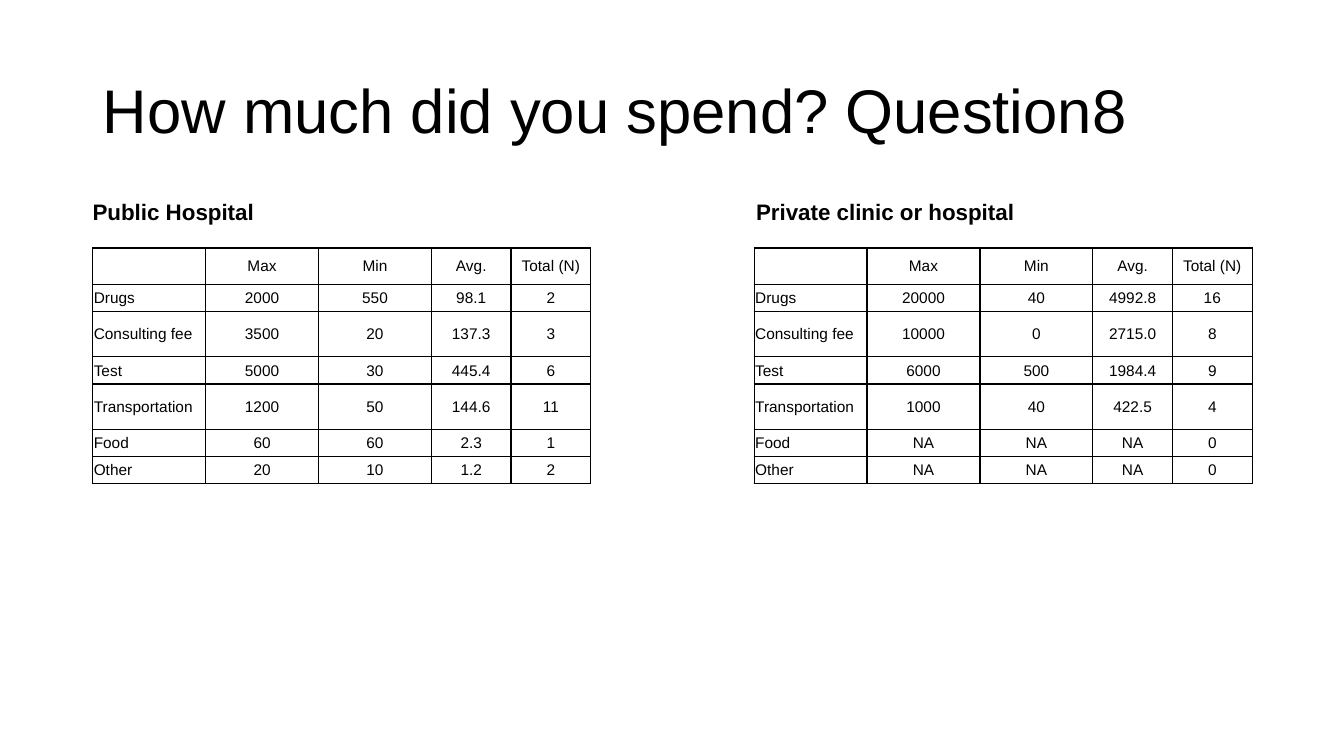
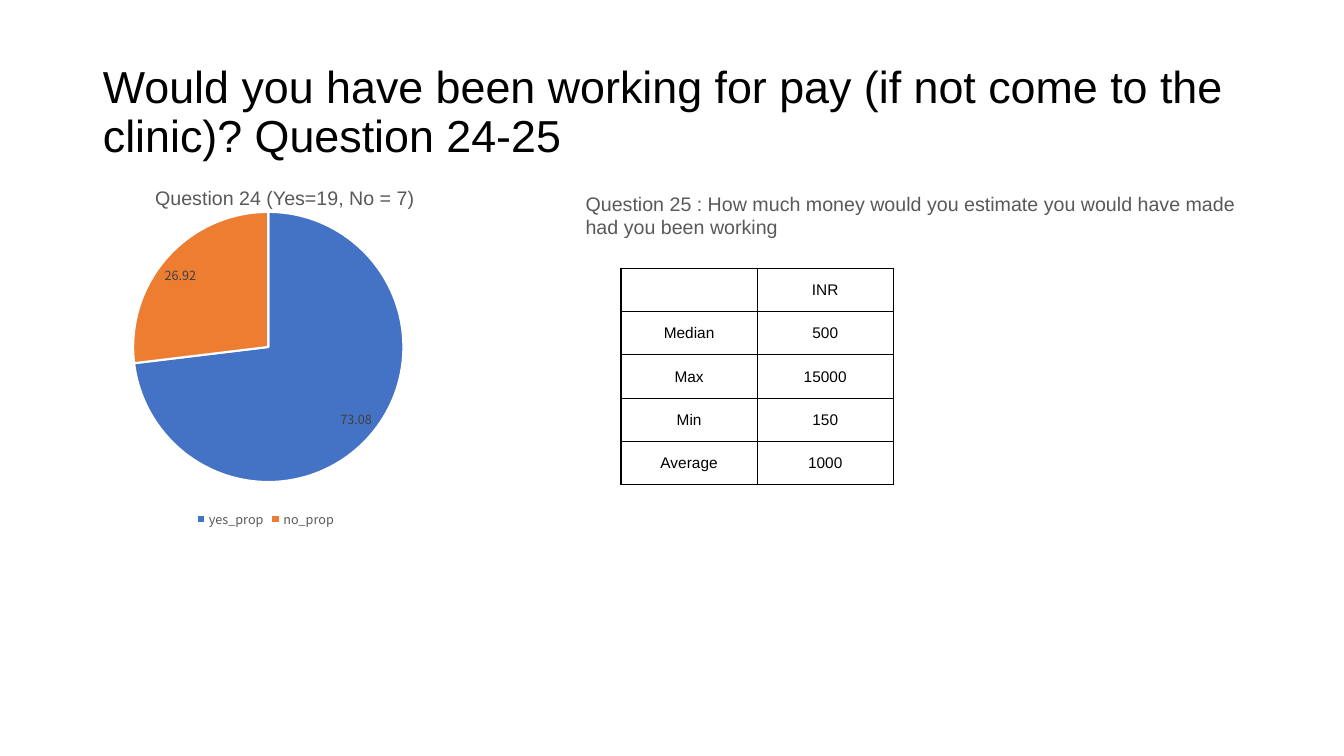
from pptx import Presentation
from pptx.chart.data import CategoryChartData
from pptx.dml.color import RGBColor
from pptx.enum.chart import XL_CHART_TYPE, XL_LABEL_POSITION, XL_LEGEND_POSITION
from pptx.enum.text import MSO_ANCHOR, MSO_AUTO_SIZE, PP_ALIGN
from pptx.oxml import parse_xml
from pptx.oxml.ns import nsdecls
from pptx.util import Inches, Pt

COLORS = {"black": "000000", "white": "FFFFFF", "gray": "595959", "label": "404040",
          "yes": "4472C4", "no": "ED7D31"}
TEXT_FONT = "Arial"
CHART_FONT = "Noto Sans CJK KR"

SPEND_TITLE = "How much did you spend? Question8"
SPEND_HEADER = ("", "Max", "Min", "Avg.", "Total (N)")
SPEND_ITEMS = ("Drugs", "Consulting fee", "Test", "Transportation", "Food", "Other")
SPEND_COLUMNS = (1.12, 1.12, 1.12, 0.79, 0.79)
SPEND_ROWS = (0.36, 0.27, 0.45, 0.27, 0.45, 0.27, 0.27)
SPEND_GROUPS = [
    {"heading": "Public Hospital", "heading_left": 0.82, "table_left": 0.92,
     "values": [("2000", "550", "98.1", "2"), ("3500", "20", "137.3", "3"),
                ("5000", "30", "445.4", "6"), ("1200", "50", "144.6", "11"),
                ("60", "60", "2.3", "1"), ("20", "10", "1.2", "2")]},
    {"heading": "Private clinic or hospital", "heading_left": 7.4, "table_left": 7.48,
     "values": [("20000", "40", "4992.8", "16"), ("10000", "0", "2715.0", "8"),
                ("6000", "500", "1984.4", "9"), ("1000", "40", "422.5", "4"),
                ("NA", "NA", "NA", "0"), ("NA", "NA", "NA", "0")]},
]

WORK_TITLE = "Would you have been working for pay (if not come to the clinic)? Question 24-25"
WORK_CAPTION = "Question 24 (Yes=19, No = 7)"
WORK_SHARES = [("yes_prop", 73.08, "yes"), ("no_prop", 26.92, "no")]
PIE_LAYOUT = {"x": 0.25, "y": 0.04, "w": 0.51, "h": 0.81}
INCOME_CAPTION = ("Question 25 : How much money would you estimate you would have made "
                  "had you been working")
INCOME_ROWS = [("", "INR"), ("Median", "500"), ("Max", "15000"), ("Min", "150"),
               ("Average", "1000")]


def rgb(name):
    return RGBColor.from_string(COLORS[name])


def style_font(font, size, color="black", name=TEXT_FONT, bold=False):
    font.name, font.size, font.bold = name, Pt(size), bold
    font.color.rgb = rgb(color)


def style_frame(frame, size, color="black", align=PP_ALIGN.LEFT, bold=False):
    for para in frame.paragraphs:
        para.alignment = align
        for span in para.runs:
            style_font(span.font, size, color, bold=bold)


def add_page(deck, layout, title, size):
    page = deck.slides.add_slide(layout)
    frame = page.shapes.title.text_frame
    frame.text = title
    frame.auto_size = MSO_AUTO_SIZE.NONE
    frame.vertical_anchor = MSO_ANCHOR.MIDDLE
    frame.paragraphs[0].line_spacing = 0.9
    style_frame(frame, size)
    return page


def add_text(page, text, left, top, width, height, size, **style):
    box = page.shapes.add_textbox(Inches(left), Inches(top), Inches(width), Inches(height))
    box.text_frame.word_wrap = True
    box.text_frame.text = text
    style_frame(box.text_frame, size, **style)


def draw_borders(cell):
    properties = cell._tc.get_or_add_tcPr()
    for index, side in enumerate("LRTB"):
        properties.insert(index, parse_xml(
            f'<a:ln{side} {nsdecls("a")} w="12700"><a:solidFill>'
            f'<a:srgbClr val="{COLORS["black"]}"/></a:solidFill></a:ln{side}>'))


def add_grid(page, rows, left, top, widths, heights, first_align):
    table = page.shapes.add_table(len(rows), len(widths), Inches(left), Inches(top),
                                  Inches(sum(widths)), Inches(sum(heights))).table
    for column, width in zip(table.columns, widths):
        column.width = Inches(width)
    for row, height in zip(table.rows, heights):
        row.height = Inches(height)
    for row_index, row in enumerate(rows):
        for column_index, text in enumerate(row):
            cell = table.cell(row_index, column_index)
            cell.text = text
            cell.fill.background()
            draw_borders(cell)
            cell.vertical_anchor = MSO_ANCHOR.MIDDLE
            cell.margin_left = cell.margin_right = cell.margin_top = Inches(0.01)
            cell.margin_bottom = 0
            align = PP_ALIGN.CENTER if column_index else first_align
            style_frame(cell.text_frame, 11, align=align)


def add_pie(page, shares, left, top, width, height):
    data = CategoryChartData()
    data.categories = [name for name, _, _ in shares]
    data.add_series("Series 1", [value for _, value, _ in shares])
    chart = page.shapes.add_chart(XL_CHART_TYPE.PIE, Inches(left), Inches(top),
                                  Inches(width), Inches(height), data).chart
    chart.has_title = False
    style_font(chart.font, 10, name=CHART_FONT)
    chart.has_legend = True
    chart.legend.position = XL_LEGEND_POSITION.BOTTOM
    chart.legend.include_in_layout = False
    style_font(chart.legend.font, 9, "gray", CHART_FONT)

    plot = chart.plots[0]
    plot.vary_by_categories = True
    for index, (_, _, color) in enumerate(shares):
        slice_format = plot.series[0].points[index].format
        slice_format.fill.solid()
        slice_format.fill.fore_color.rgb = rgb(color)
        slice_format.line.color.rgb = rgb("white")
        slice_format.line.width = Pt(1.5)
    labels = plot.series[0].data_labels
    labels.show_value = True
    labels.number_format, labels.number_format_is_linked = "0.00", False
    labels.position = XL_LABEL_POSITION.BEST_FIT
    style_font(labels.font, 9, "label", CHART_FONT)

    area = chart._chartSpace.chart.plotArea
    for old_layout in area.findall("{*}layout"):
        area.remove(old_layout)
    sizes = "".join(f'<c:{key} val="{value}"/>' for key, value in PIE_LAYOUT.items())
    area.insert(0, parse_xml(
        f'<c:layout {nsdecls("c")}><c:manualLayout><c:layoutTarget val="inner"/>'
        f'<c:xMode val="edge"/><c:yMode val="edge"/>{sizes}</c:manualLayout></c:layout>'))


def main():
    """Build the two survey result slides."""
    deck = Presentation()
    deck.slide_width, deck.slide_height = Inches(13.33), Inches(7.5)
    layout = deck.slide_layouts[5]
    title = layout.placeholders[0]
    title.left, title.top = Inches(0.92), Inches(0.4)
    title.width, title.height = Inches(11.5), Inches(1.45)

    page = add_page(deck, layout, SPEND_TITLE, 44)
    for group in SPEND_GROUPS:
        rows = [SPEND_HEADER]
        rows += [(item, *values) for item, values in zip(SPEND_ITEMS, group["values"])]
        add_grid(page, rows, group["table_left"], 2.46, SPEND_COLUMNS, SPEND_ROWS,
                 PP_ALIGN.LEFT)
        add_text(page, group["heading"], group["heading_left"], 1.92, 3.31, 0.37, 16,
                 bold=True)

    page = add_page(deck, layout, WORK_TITLE, 32)
    add_pie(page, WORK_SHARES, 0, 1.97, 5.27, 3.31)
    add_text(page, WORK_CAPTION, 0, 1.8, 5.65, 0.34, 14, color="gray",
             align=PP_ALIGN.CENTER)
    add_grid(page, INCOME_ROWS, 6.16, 2.66, [1.35] * 2, [0.43] * len(INCOME_ROWS),
             PP_ALIGN.CENTER)
    add_text(page, INCOME_CAPTION, 5.71, 1.85, 6.67, 0.57, 14, color="gray")
    deck.save("out.pptx")


if __name__ == "__main__":
    main()
